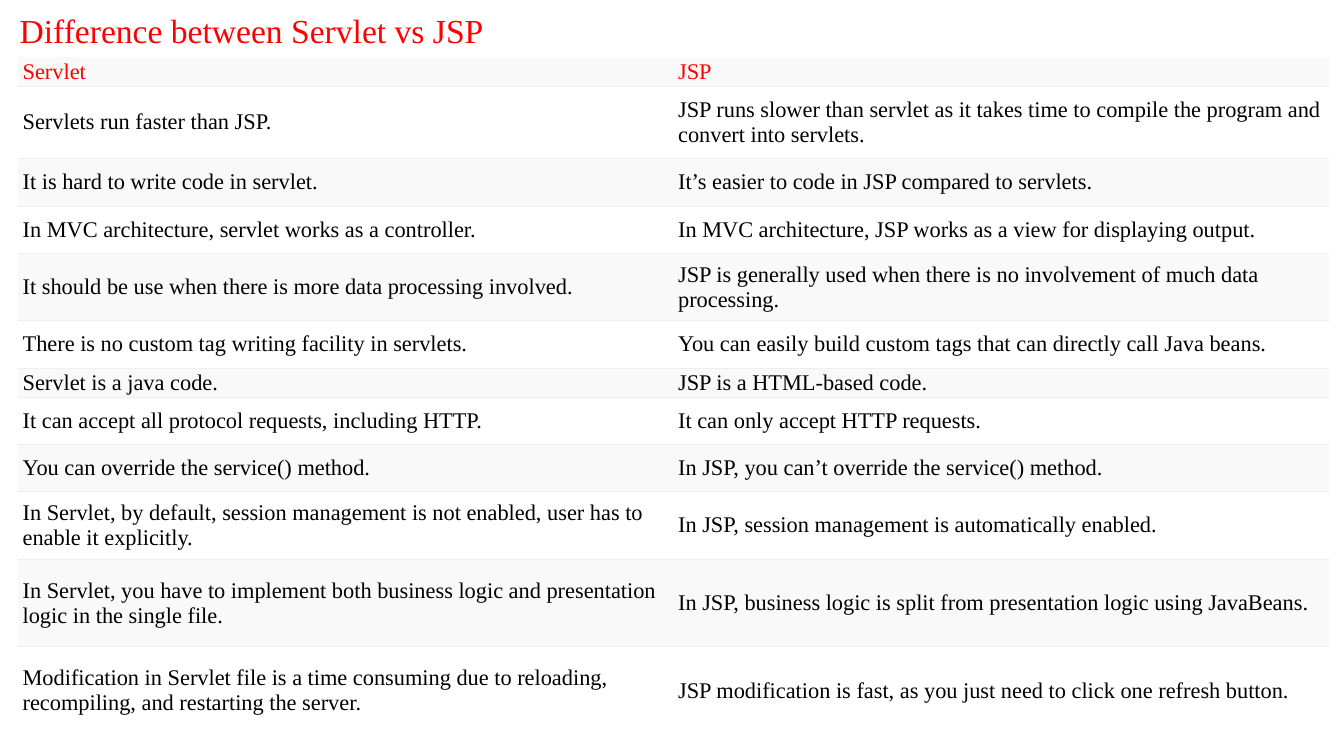
from lxml.etree import SubElement
from pptx import Presentation
from pptx.dml.color import RGBColor
from pptx.enum.text import MSO_ANCHOR, MSO_AUTO_SIZE, PP_ALIGN
from pptx.oxml.ns import qn
from pptx.util import Pt

RED = RGBColor(0xFF, 0x00, 0x00)
BLACK = RGBColor(0x00, 0x00, 0x00)
WHITE = RGBColor(0xFF, 0xFF, 0xFF)
PALE = RGBColor(0xF9, 0xF9, 0xF9)
RULE = RGBColor(0xEE, 0xEE, 0xEE)

SHORT, SINGLE, DOUBLE, FIRST, TALL = 19.44, 33.84, 48.24, 51.84, 62.64

COMPARISON = [
    (SHORT, "Servlet", "JSP"),
    (FIRST, "Servlets run faster than JSP.",
     "JSP runs slower than servlet as it takes time to compile the program and convert into servlets."),
    (SINGLE, "It is hard to write code in servlet.",
     "It’s easier to code in JSP compared to servlets."),
    (SINGLE, "In MVC architecture, servlet works as a controller.",
     "In MVC architecture, JSP works as a view for displaying output."),
    (DOUBLE, "It should be use when there is more data processing involved.",
     "JSP is generally used when there is no involvement of much data processing."),
    (SINGLE, "There is no custom tag writing facility in servlets.",
     "You can easily build custom tags that can directly call Java beans."),
    (SHORT, "Servlet is a java code.", "JSP is a HTML-based code."),
    (SINGLE, "It can accept all protocol requests, including HTTP.",
     "It can only accept HTTP requests."),
    (SINGLE, "You can override the service() method.",
     "In JSP, you can’t override the service() method."),
    (DOUBLE, "In Servlet, by default, session management is not enabled, user has to enable it explicitly.",
     "In JSP, session management is automatically enabled."),
    (TALL, "In Servlet, you have to implement both business logic and presentation logic in the single file.",
     "In JSP, business logic is split from presentation logic using JavaBeans."),
    (TALL, "Modification in Servlet file is a time consuming due to reloading, recompiling, and restarting the server.",
     "JSP modification is fast, as you just need to click one refresh button."),
]


def write(frame, text, size=16, color=BLACK, font="Times New Roman"):
    para = frame.paragraphs[0]
    para.alignment = PP_ALIGN.LEFT
    span = para.add_run()
    span.text = text
    span.font.name = font
    span.font.size = Pt(size)
    span.font.bold = False
    span.font.color.rgb = color
    return para


class ComparisonPage:
    def __init__(self, deck, rule_color=RULE, rule_width=0.6):
        self.page = deck.slides.add_slide(deck.slide_layouts[5])
        self.rule_color = rule_color
        self.rule_width = rule_width

    def title(self, text, left, top, width, height):
        box = self.page.shapes.title
        box.left, box.top, box.width, box.height = map(Pt, (left, top, width, height))
        frame = box.text_frame
        frame.word_wrap = True
        frame.auto_size = MSO_AUTO_SIZE.NONE
        frame.vertical_anchor = MSO_ANCHOR.TOP
        para = write(frame, text, size=24, color=RED)
        para.line_spacing = 0.9
        para.space_before = Pt(10)

    def edges(self, cell, visible):
        properties = cell._tc.get_or_add_tcPr()
        for edge in ("lnL", "lnR", "lnT", "lnB"):
            line = SubElement(properties, qn(f"a:{edge}"), w=str(Pt(self.rule_width)))
            if edge in visible:
                fill = SubElement(line, qn("a:solidFill"))
                SubElement(fill, qn("a:srgbClr"), val=str(self.rule_color))
            else:
                SubElement(line, qn("a:noFill"))

    def cell(self, cell, text, color, fill, visible):
        cell.margin_left = cell.margin_right = Pt(3.4)
        cell.margin_top = cell.margin_bottom = Pt(1.44)
        cell.vertical_anchor = MSO_ANCHOR.MIDDLE
        self.edges(cell, visible)
        cell.fill.solid()
        cell.fill.fore_color.rgb = fill
        write(cell.text_frame, text, color=color)

    def table(self, rows, left, top, column_width):
        height = sum(row[0] for row in rows)
        table = self.page.shapes.add_table(
            len(rows), 2, Pt(left), Pt(top), Pt(2 * column_width), Pt(height)).table
        table.first_row = False
        table.horz_banding = False
        for column in table.columns:
            column.width = Pt(column_width)
        last = len(rows) - 1
        for index, (row_height, *texts) in enumerate(rows):
            table.rows[index].height = Pt(row_height)
            visible = {"lnT"} if index == last else {"lnB"} if index == 0 else {"lnT", "lnB"}
            for column, text in enumerate(texts):
                self.cell(table.cell(index, column), text,
                          color=BLACK if index else RED,
                          fill=WHITE if index % 2 else PALE,
                          visible=visible)


def main():
    deck = Presentation()
    deck.slide_width, deck.slide_height = Pt(960), Pt(540)
    page = ComparisonPage(deck)
    page.title("Difference between Servlet vs JSP", 6.8, 7, 942.5, 525)
    page.table(COMPARISON, 12.8, 40.8, 468.2)
    deck.save("out.pptx")


if __name__ == "__main__":
    main()
